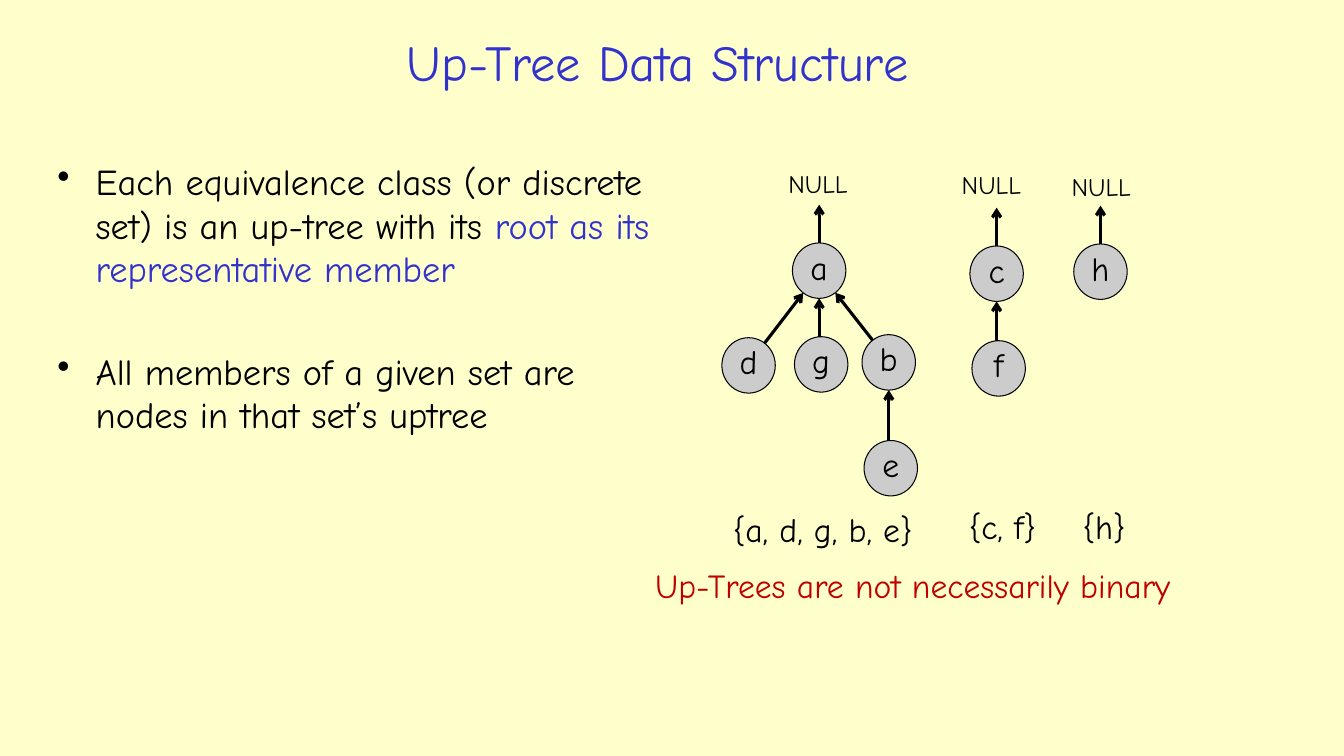
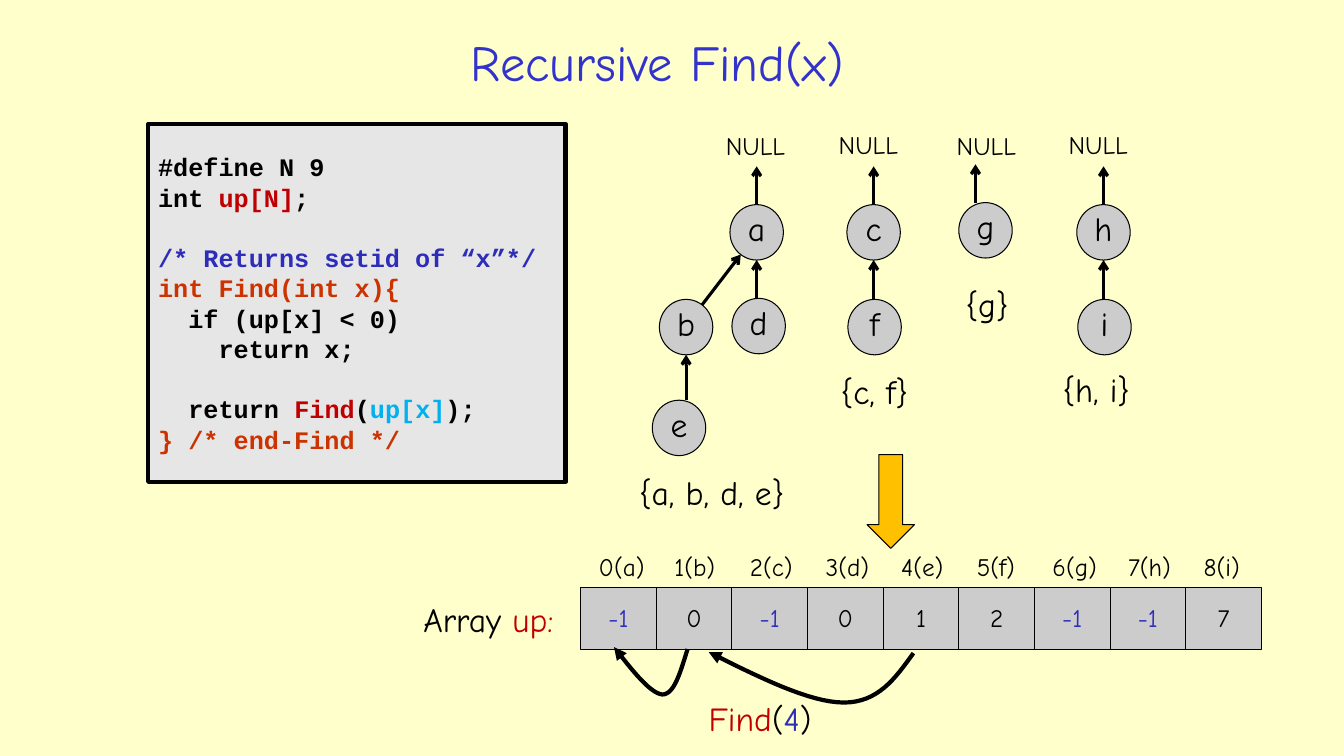
import dataclasses
import math

import lxml.etree
import pptx
import pptx.dml.color
import pptx.enum.shapes
import pptx.enum.text
import pptx.oxml.ns
import pptx.util


@dataclasses.dataclass(frozen=True)
class Theme:
    background: str = "FFFFCC"
    title: str = "3333CC"
    ink: str = "000000"
    blue: str = "2D2DB9"
    red: str = "C00000"
    orange: str = "CC3300"
    cyan: str = "00B0F0"
    node: str = "CCCCCC"
    code_fill: str = "E6E6E6"
    block_arrow: str = "FFC000"
    font: str = "Comic Neue"
    code_font: str = "Courier New"
    title_size: int = 36
    body_size: int = 26
    label_size: int = 24
    small_size: int = 18
    outline: float = 0.75
    arrow_line: float = 2.25
    thick_line: int = 3


THEME = Theme()
PX = 9144  # 100 px to the inch
NODE_WIDTH, NODE_HEIGHT = 53, 55
ROOT_ARROW = 38
NULL_WIDTH, NULL_HEIGHT = 88, 40
LABEL_HEIGHT = 51
INSET_X, INSET_Y = 10, 5

# Paragraphs are lists of (text, colour) runs.
BULLETS = [
    [("Each equivalence class (or discrete set) is an up-tree with its ", THEME.ink),
     ("root as its representative member", THEME.title)],
    [("All members of a given set are nodes in that set’s uptree", THEME.ink)],
]

# Nodes: left, top. Links: child, parent.
# Roots: node, arrow offset, NULL left, NULL top. Labels: left, top, width, runs.
FOREST = {
    "nodes": {"a": (786, 241), "d": (716, 335), "g": (788, 334), "b": (855, 332),
              "e": (857, 437), "c": (962, 244), "f": (964, 338), "h": (1065, 242)},
    "links": ["da", "ga", "ba", "eb", "fc"],
    "roots": [("a", 0, 772, 162), ("c", 0, 944, 163), ("h", 0, 1053, 165)],
    "labels": [
        (717, 500, 215, [("{a, d, g, b, e}", THEME.ink)]),
        (951, 497, 98, [("{c, f}", THEME.ink)]),
        (1064, 497, 64, [("{h}", THEME.ink)]),
        (640, 555, 584, [("Up-Trees are not necessarily binary", THEME.red)]),
    ],
}
FIND_FOREST = {
    "nodes": {"a": (724, 203), "b": (654, 297), "d": (726, 296), "e": (647, 397),
              "c": (840, 203), "f": (841, 297), "g": (951, 201),
              "h": (1068, 203), "i": (1069, 297)},
    "links": ["ba", "da", "eb", "fc", "ih"],
    "roots": [("a", 0, 710, 124), ("c", 0, 822, 123),
              ("g", -10, 939, 124), ("h", 0, 1050, 123)],
    "labels": [
        (624, 463, 178, [("{a, b, d, e}", THEME.ink)]),
        (824, 363, 98, [("{c, f}", THEME.ink)]),
        (948, 277, 64, [("{g}", THEME.ink)]),
        (1044, 361, 93, [("{h, i}", THEME.ink)]),
        (410, 589, 167, [("Array ", THEME.ink), ("up:", THEME.red)]),
        (693, 687, 133, [("Find", THEME.red), ("(", THEME.ink),
                         ("4", THEME.blue), (")", THEME.ink)]),
    ],
}

# Blocks of code lines, set apart by one line's height.
CODE_BLOCKS = [
    [[("#define N 9", THEME.ink)],
     [("int ", THEME.ink), ("up[N]", THEME.red), (";", THEME.ink)]],
    [[("/* Returns setid of “x”*/", THEME.blue)],
     [("int Find(int x){", THEME.orange)],
     [("  if (up[x] < 0)", THEME.ink)],
     [("    return x;", THEME.ink)]],
    [[("  return ", THEME.ink), ("Find", THEME.red), ("(", THEME.ink),
      ("up[x]", THEME.cyan), (");", THEME.ink)],
     [("} /* end-Find */", THEME.orange)]],
]
CODE_GAP = 21.6

ARRAY = {"a": -1, "b": 0, "c": -1, "d": 0, "e": 1, "f": 2, "g": -1, "h": -1, "i": 7}
ARRAY_LEFT, ARRAY_TOP, CELL_WIDTH, CELL_HEIGHT = 576, 583, 75, 61
INDEX_TOP, INDEX_HEIGHT = 542, 40

# Each curve is a chain of cubic Béziers: start, then three points per segment.
FIND_CURVES = [
    [(906, 648), (888, 673), (871, 697), (837, 697), (803, 697), (753, 672), (703, 647)],
    [(682, 644), (675, 666), (669, 689), (657, 689), (645, 688), (627, 665), (609, 642)],
]
CURVE_STEPS = 16


def px(*lengths):
    return [pptx.util.Emu(round(length * PX)) for length in lengths]


def rgb(colour):
    return pptx.dml.color.RGBColor.from_string(colour)


def fill_paragraph(paragraph, runs, size, font=THEME.font, bold=False):
    for text, colour in runs:
        run = paragraph.add_run()
        run.text = text
        run.font.name = font
        run.font.size = pptx.util.Pt(size)
        run.font.bold = bold
        run.font.color.rgb = rgb(colour)


def set_frame(shape, wrap, middle=False, insets=(INSET_X, INSET_Y, INSET_X, INSET_Y)):
    frame = shape.text_frame
    frame.word_wrap = wrap
    anchors = pptx.enum.text.MSO_ANCHOR
    frame.vertical_anchor = anchors.MIDDLE if middle else anchors.TOP
    (frame.margin_left, frame.margin_top,
     frame.margin_right, frame.margin_bottom) = px(*insets)
    return frame


def add_text(slide, box, runs, size, centred=False, wrap=False):
    frame = set_frame(slide.shapes.add_textbox(*px(*box)), wrap, middle=centred)
    paragraph = frame.paragraphs[0]
    fill_paragraph(paragraph, runs, size)
    if centred:
        paragraph.alignment = pptx.enum.text.PP_ALIGN.CENTER
    return frame


def add_box(slide, preset, box, fill, line_width=THEME.outline):
    shape = slide.shapes.add_shape(
        getattr(pptx.enum.shapes.MSO_SHAPE, preset), *px(*box))
    shape.shadow.inherit = False
    shape.fill.solid()
    shape.fill.fore_color.rgb = rgb(fill)
    set_line(shape, line_width)
    return shape


def add_centred_box(slide, preset, box, text, colour, size, lift=0):
    """Add a node or cell whose text sits in the middle, raised by half of lift."""
    shape = add_box(slide, preset, box, THEME.node)
    paragraph = set_frame(shape, False, True, (0, 0, 0, lift)).paragraphs[0]
    paragraph.alignment = pptx.enum.text.PP_ALIGN.CENTER
    fill_paragraph(paragraph, [(text, colour)], size)


def set_line(shape, width, arrowhead=None):
    shape.line.color.rgb = rgb(THEME.ink)
    shape.line.width = pptx.util.Pt(width)
    if arrowhead:
        line = shape.element.spPr.find(pptx.oxml.ns.qn("a:ln"))
        lxml.etree.SubElement(line, pptx.oxml.ns.qn("a:tailEnd"), type=arrowhead)


def add_arrow(slide, start, end):
    connector = slide.shapes.add_connector(
        pptx.enum.shapes.MSO_CONNECTOR.STRAIGHT, *px(*start, *end))
    set_line(connector, THEME.arrow_line, "arrow")
    lxml.etree.SubElement(connector.element.spPr, pptx.oxml.ns.qn("a:effectLst"))


def link_ends(child, parent):
    """Return rim points on the line between centres; near-vertical links stand upright."""
    child_x, child_y = child
    parent_x, parent_y = parent
    if abs(parent_x - child_x) < 10:
        child_x = parent_x
    distance = math.dist((child_x, child_y), parent)
    step_x = (parent_x - child_x) / distance * NODE_WIDTH / 2
    step_y = (parent_y - child_y) / distance * NODE_HEIGHT / 2
    return (child_x + step_x, child_y + step_y), (parent_x - step_x, parent_y - step_y)


def add_forest(slide, forest):
    nodes = forest["nodes"]
    centres = {name: (left + NODE_WIDTH / 2, top + NODE_HEIGHT / 2)
               for name, (left, top) in nodes.items()}
    for name, (left, top) in nodes.items():
        add_centred_box(slide, "OVAL", (left, top, NODE_WIDTH, NODE_HEIGHT),
                        name, THEME.ink, THEME.label_size, lift=8)
    for child, parent in forest["links"]:
        add_arrow(slide, *link_ends(centres[child], centres[parent]))
    for name, offset, left, top in forest["roots"]:
        arrow_x, root_top = centres[name][0] + offset, nodes[name][1]
        add_arrow(slide, (arrow_x, root_top), (arrow_x, root_top - ROOT_ARROW))
        add_text(slide, (left, top, NULL_WIDTH, NULL_HEIGHT),
                 [("NULL", THEME.ink)], THEME.small_size)
    for left, top, width, runs in forest["labels"]:
        add_text(slide, (left, top, width, LABEL_HEIGHT), runs, THEME.label_size)


def add_bullets(slide):
    frame = set_frame(slide.shapes.add_textbox(*px(47, 153, 631, 441)), True)
    for index, runs in enumerate(BULLETS):
        paragraph = frame.add_paragraph() if index else frame.paragraphs[0]
        if index:
            paragraph.space_before = pptx.util.Pt(42)
        properties = paragraph._p.get_or_add_pPr()
        indent = px(38)[0]
        properties.set("marL", str(indent))
        properties.set("indent", str(-indent))
        lxml.etree.SubElement(properties, pptx.oxml.ns.qn("a:buChar"), char="•")
        fill_paragraph(paragraph, runs, THEME.body_size)


def add_code(slide):
    shape = add_box(slide, "RECTANGLE", (147, 123, 414, 355),
                    THEME.code_fill, THEME.thick_line)
    frame = set_frame(shape, True, middle=True)
    for block_index, block in enumerate(CODE_BLOCKS):
        for line_index, runs in enumerate(block):
            first = block_index == line_index == 0
            paragraph = frame.paragraphs[0] if first else frame.add_paragraph()
            paragraph.alignment = pptx.enum.text.PP_ALIGN.LEFT
            if block_index and not line_index:
                paragraph.space_before = pptx.util.Pt(CODE_GAP)
            fill_paragraph(paragraph, runs, THEME.small_size, THEME.code_font, True)


def add_array(slide):
    for index, (name, value) in enumerate(ARRAY.items()):
        left = ARRAY_LEFT + index * CELL_WIDTH
        add_centred_box(slide, "RECTANGLE", (left, ARRAY_TOP, CELL_WIDTH, CELL_HEIGHT),
                        str(value), THEME.blue if value < 0 else THEME.ink,
                        THEME.small_size, lift=2)
        add_text(slide, (left + 8, INDEX_TOP, CELL_WIDTH - 8, INDEX_HEIGHT),
                 [(f"{index}({name})", THEME.ink)], THEME.small_size)


def bezier_point(points, t):
    weights = ((1 - t) ** 3, 3 * t * (1 - t) ** 2, 3 * t * t * (1 - t), t ** 3)
    return tuple(sum(weight * point[axis] for weight, point in zip(weights, points))
                 for axis in (0, 1))


def add_curve(slide, points):
    vertices = [px(*bezier_point(points[first:first + 4], step / CURVE_STEPS))
                for first in range(0, len(points) - 1, 3)
                for step in range(1, CURVE_STEPS + 1)]
    builder = slide.shapes.build_freeform(*px(*points[0]))
    builder.add_line_segments(vertices, close=False)
    shape = builder.convert_to_shape()
    shape.shadow.inherit = False
    shape.fill.background()
    set_line(shape, THEME.thick_line, "triangle")


def add_titled_slide(presentation, title):
    slide = presentation.slides.add_slide(presentation.slide_layouts[6])
    add_text(slide, (204, 26, 896, 69), [(title, THEME.title)],
             THEME.title_size, centred=True, wrap=True)
    return slide


def main():
    presentation = pptx.Presentation()
    presentation.slide_width, presentation.slide_height = px(1333, 750)
    background = presentation.slide_master.background.fill
    background.solid()
    background.fore_color.rgb = rgb(THEME.background)

    slide = add_titled_slide(presentation, "Up-Tree Data Structure")
    add_bullets(slide)
    add_forest(slide, FOREST)

    slide = add_titled_slide(presentation, "Recursive Find(x)")
    add_code(slide)
    add_forest(slide, FIND_FOREST)
    add_box(slide, "DOWN_ARROW", (860, 451, 47, 93), THEME.block_arrow)
    add_array(slide)
    for points in FIND_CURVES:
        add_curve(slide, points)

    presentation.save("out.pptx")


if __name__ == "__main__":
    main()
